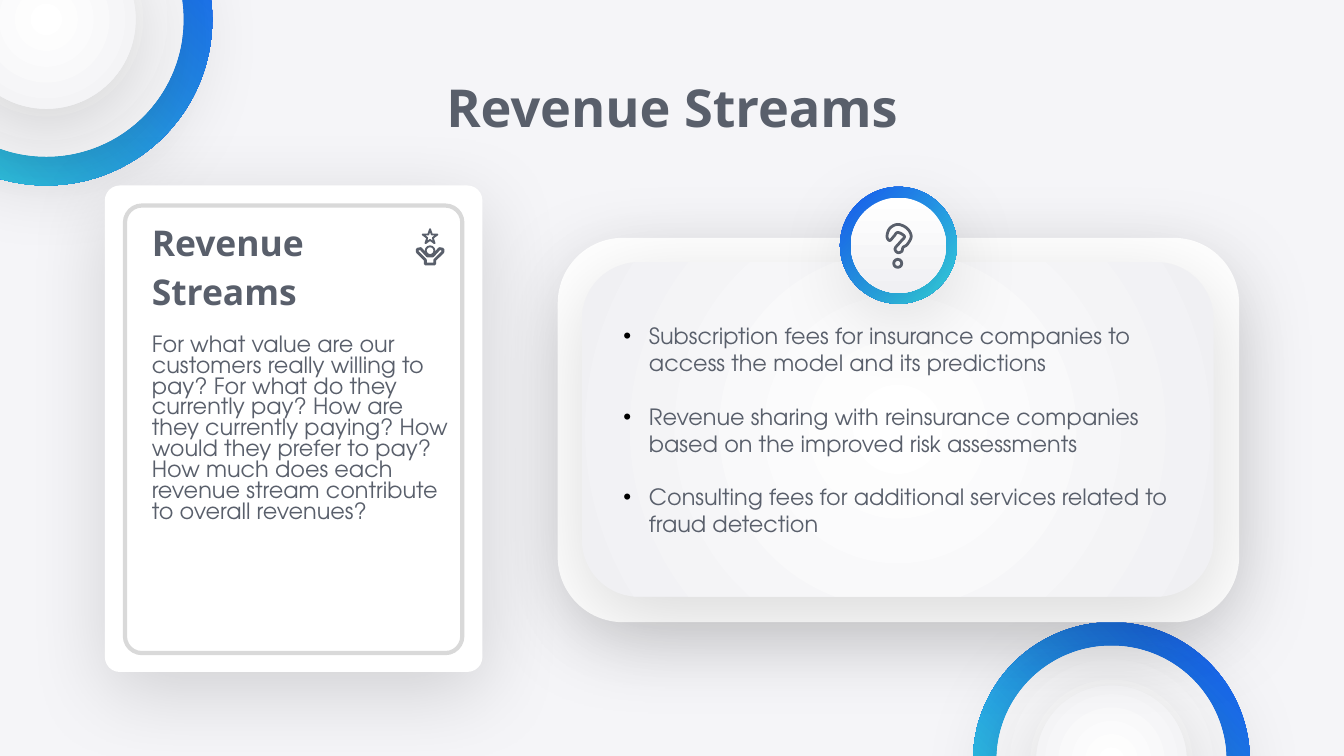
from dataclasses import dataclass

from lxml.etree import SubElement
from pptx import Presentation
from pptx.dml.color import RGBColor
from pptx.enum.shapes import MSO_SHAPE as Preset
from pptx.enum.text import MSO_ANCHOR as Anchor, MSO_AUTO_SIZE as AutoSize, PP_ALIGN as Align
from pptx.oxml import parse_xml
from pptx.oxml.ns import nsdecls, qn
from pptx.util import Inches, Pt

INK, WHITE, PALE = "595F6B", "FFFFFF", "F0F0F3"
RING = ("1658F1", "36DBE0")
HEADING_FONT, BODY_FONT = "Noto Sans", "TeX Gyre Adventor"
PLAIN_TABLE_STYLE = "{2D5ABB26-0587-4C30-8999-92F81FD0307C}"

presentation = Presentation()
presentation.slide_width, presentation.slide_height = Inches(10), Inches(10 * 9 / 16)
slide = presentation.slides.add_slide(presentation.slide_layouts[5])
UNIT = presentation.slide_width / 100  # square grid, 100 columns wide


@dataclass(frozen=True)
class Box:
    left: float
    top: float
    width: float
    height: float

    def emu(self) -> list[int]:
        return [round(n * UNIT) for n in (self.left, self.top, self.width, self.height)]


@dataclass(frozen=True)
class Gradient:
    start: str
    end: str
    angle: int | None = None  # None spreads from the centre


@dataclass(frozen=True)
class Panel:
    box: Box
    rounding: float
    fill: str | Gradient | None = None
    line: str | None = None
    raised: bool = True


@dataclass(frozen=True)
class Medallion:
    """Concentric discs: a coloured ring below raised pale ones."""
    x: float
    y: float
    diameters: tuple[float, ...]
    ring_angle: int
    disc_angle: int | None = None


def color(value: str) -> RGBColor:
    return RGBColor.from_string(value)


def apply(target, **values) -> None:
    for name, value in values.items():
        setattr(target, name, value)


def fill_gradient(shape, gradient: Gradient) -> None:
    if gradient.angle is None:
        course = '<a:path path="circle"><a:fillToRect l="50000" t="50000" r="50000" b="50000"/></a:path>'
    else:
        course = f'<a:lin ang="{gradient.angle * 60000}" scaled="0"/>'
    shape._element.spPr.find(qn("a:prstGeom")).addnext(parse_xml(
        f'<a:gradFill {nsdecls("a")} rotWithShape="1"><a:gsLst>'
        f'<a:gs pos="0"><a:srgbClr val="{gradient.start}"/></a:gs>'
        f'<a:gs pos="100000"><a:srgbClr val="{gradient.end}"/></a:gs>'
        f'</a:gsLst>{course}</a:gradFill>'))


def cast_shadow(shape) -> None:
    effects = shape._element.spPr.find(qn("a:effectLst"))
    effects.append(parse_xml(
        f'<a:outerShdw {nsdecls("a")} blurRad="{Pt(45)}" dist="{Pt(11.2)}" dir="{85 * 60000}" '
        'algn="t" rotWithShape="0"><a:srgbClr val="000000"><a:alpha val="15000"/></a:srgbClr></a:outerShdw>'))


def style(shape, fill=None, line: str | None = None, weight: float = 1.5, raised: bool = False) -> None:
    shape.shadow.inherit = False
    if line:
        shape.line.color.rgb = color(line)
        shape.line.width = Pt(weight)
    else:
        shape.line.fill.background()
    if isinstance(fill, Gradient):
        fill_gradient(shape, fill)
    elif fill:
        shape.fill.solid()
        shape.fill.fore_color.rgb = color(fill)
    else:
        shape.fill.background()
    if raised:
        cast_shadow(shape)


def add_preset(preset: Preset, box: Box, **look):
    shape = slide.shapes.add_shape(preset, *box.emu())
    style(shape, **look)
    return shape


def add_panel(panel: Panel) -> None:
    shape = add_preset(Preset.ROUNDED_RECTANGLE, panel.box, fill=panel.fill,
                       line=panel.line, weight=2.25, raised=panel.raised)
    shape.adjustments[0] = panel.rounding


def add_disc(x: float, y: float, diameter: float, **look) -> None:
    add_preset(Preset.OVAL, Box(x - diameter / 2, y - diameter / 2, diameter, diameter), **look)


def add_medallion(medallion: Medallion) -> None:
    ring, *discs = medallion.diameters
    add_disc(medallion.x, medallion.y, ring, fill=Gradient(*RING, medallion.ring_angle))
    for diameter in discs:
        add_disc(medallion.x, medallion.y, diameter,
                 fill=Gradient(WHITE, PALE, medallion.disc_angle), raised=True)


def smooth(points: list[tuple], steps: int = 6) -> list[tuple]:
    """Closed Catmull-Rom curve through the points."""
    curve = []
    for i in range(len(points)):
        corners = [points[(i + k) % len(points)] for k in (-1, 0, 1, 2)]
        for t in (step / steps for step in range(steps)):
            curve.append(tuple(
                (2 * b + (c - a) * t + (2 * a - 5 * b + 4 * c - d) * t**2
                 + (3 * b - a - 3 * c + d) * t**3) / 2
                for a, b, c, d in zip(*corners)))
    return curve


def add_outline(points: list[tuple]) -> None:
    start, *others = [(x * UNIT, y * UNIT) for x, y in points]
    builder = slide.shapes.build_freeform(*start)
    builder.add_line_segments(others, close=True)
    style(builder.convert_to_shape(), line=INK)


def write(paragraph, text: str, size: float, font: str = BODY_FONT, bold: bool = False, **layout) -> None:
    run = paragraph.add_run()
    run.text = text
    apply(run.font, size=Pt(size), name=font, bold=bold)
    run.font.color.rgb = color(INK)
    apply(paragraph, **layout)


def add_bullet(paragraph) -> None:
    properties = paragraph._p.get_or_add_pPr()
    indents = {"marL": Inches(0.19), "indent": -Inches(0.19)}
    for name, value in indents.items():
        properties.set(name, str(value))
    SubElement(SubElement(properties, qn("a:buClr")), qn("a:srgbClr"), val="000000")
    SubElement(properties, qn("a:buFont"), typeface="Arial")
    SubElement(properties, qn("a:buChar"), char="•")


def next_paragraph(frame, index: int):
    return frame.add_paragraph() if index else frame.paragraphs[0]


MARGINS = {f"margin_{side}": Inches(0.1) for side in ("left", "top", "right", "bottom")}
CARD = Box(9.3, 15.3, 25.1, 33.3)
MEDALLIONS = [Medallion(3.45, 1.45, (24.7, 20.4, 13.3), 135),
              Medallion(82.7, 56.6, (20.6, 17.1, 11.2), 135)]
PANELS = [Panel(Box(7.8, 13.8, 28.1, 36.2), 0.04, WHITE),
          Panel(CARD, 0.05, line="D9D9D9", raised=False),
          Panel(Box(41.5, 17.7, 50.7, 28.6), 0.17, WHITE),
          Panel(Box(43.3, 19.5, 47, 24.9), 0.17, Gradient(WHITE, PALE))]
BADGE = Medallion(66.85, 18.25, (8.7, 7.1), 45, 90)
QUESTION_MARK = [(66, 17.6), (66.2, 17), (66.8, 16.7), (67.5, 17), (67.8, 17.6), (67.5, 18.2),
                 (67.2, 18.4), (67.1, 18.7), (66.8, 18.8), (66.6, 18.5), (67, 18),
                 (67.3, 17.6), (66.8, 17.3), (66.5, 17.6), (66.2, 17.9)]
RIGHT_HAND = [(0.2, 19.05), (0.7, 18.5), (0.95, 18.55), (0.95, 18.75), (0.35, 19.35), (0.35, 19.65)]
ICON_AXIS = 32
BULLETS = ["Subscription fees for insurance companies to access the model and its predictions",
           "Revenue sharing with reinsurance companies based on the improved risk assessments",
           "Consulting fees for additional services related to fraud detection"]
QUESTIONS = ("For what value are our customers really willing to pay? For what do they currently pay? "
             "How are they currently paying? How would they prefer to pay? "
             "How much does each revenue stream contribute to overall revenues?")

slide.background.fill.solid()
slide.background.fill.fore_color.rgb = color("F5F5F8")
for medallion in MEDALLIONS:
    add_medallion(medallion)
for panel in PANELS:
    add_panel(panel)
add_medallion(BADGE)

title = slide.shapes.title
apply(title, **dict(zip(("left", "top", "width", "height"), Box(7.8, 5.9, 84.4, 4.1).emu())))
apply(title.text_frame, **MARGINS, auto_size=AutoSize.NONE, vertical_anchor=Anchor.MIDDLE)
write(title.text_frame.paragraphs[0], "Revenue Streams", 28, HEADING_FONT, True, alignment=Align.CENTER)

table_frame = slide.shapes.add_table(1, 1, *Box(CARD.left, CARD.top, CARD.width, 28.3).emu())
apply(table_frame.table, first_row=False, horz_banding=False)
table_frame.table._tbl.tblPr.find(qn("a:tableStyleId")).text = PLAIN_TABLE_STYLE
cell = table_frame.table.cell(0, 0)
cell.fill.background()
apply(cell, **{**MARGINS, "margin_left": Inches(0.2)})
for index, word in enumerate(("Revenue", "Streams")):
    write(next_paragraph(cell.text_frame, index), word, 19, HEADING_FONT, True)
write(cell.text_frame.add_paragraph(), QUESTIONS, 12, space_before=Pt(11))

streams = slide.shapes.add_textbox(*Box(45.4, 23, 42.9, 18.2).emu()).text_frame
apply(streams, **MARGINS, word_wrap=True)
for index, text in enumerate(BULLETS):
    paragraph = next_paragraph(streams, index)
    write(paragraph, text, 12, space_before=Pt(14.3 if index else 0))
    add_bullet(paragraph)

add_outline(smooth(QUESTION_MARK))
add_disc(66.8, 19.6, 0.6, line=INK)
add_outline([(ICON_AXIS + x, y) for x, y in RIGHT_HAND]
            + [(ICON_AXIS - x, y) for x, y in reversed(RIGHT_HAND)])
add_disc(ICON_AXIS, 18.65, 0.65, line=INK, weight=1)
add_preset(Preset.STAR_5_POINT, Box(ICON_AXIS - 0.55, 17.05, 1.1, 1.05), line=INK, weight=1)

presentation.save("out.pptx")
